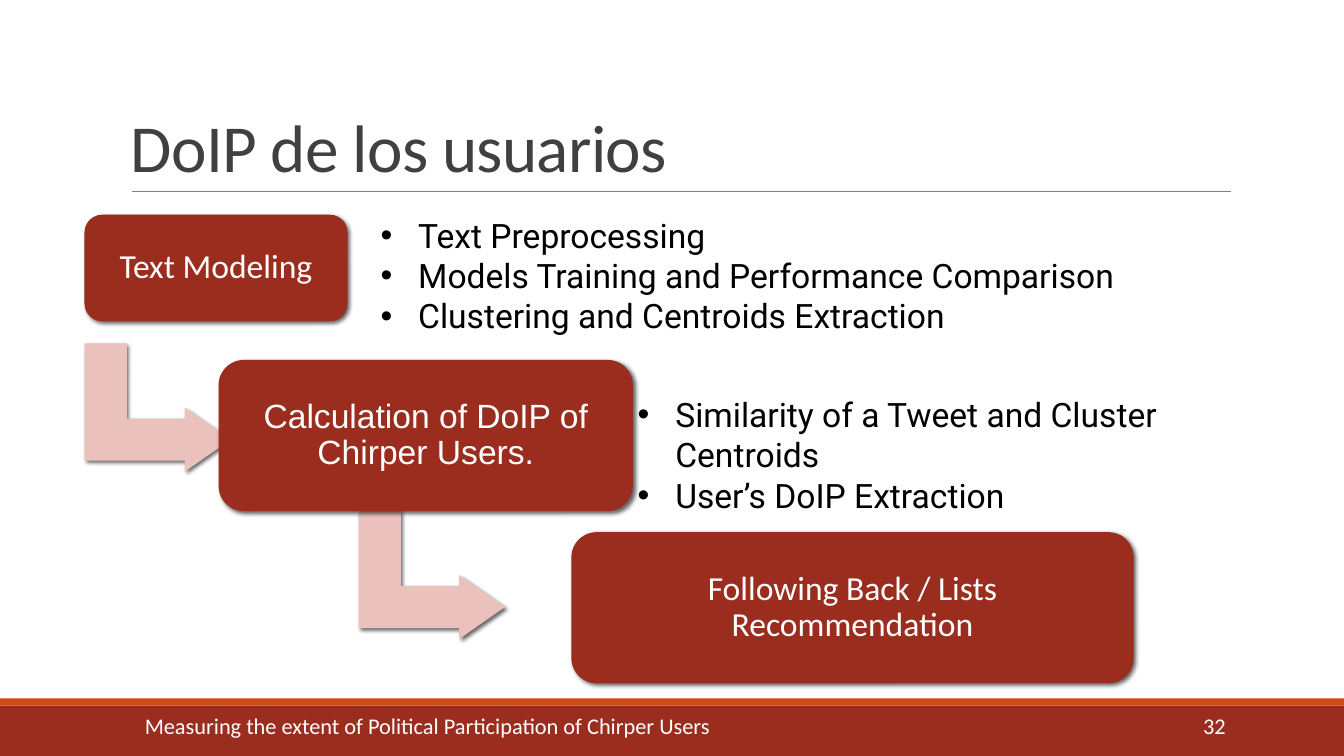
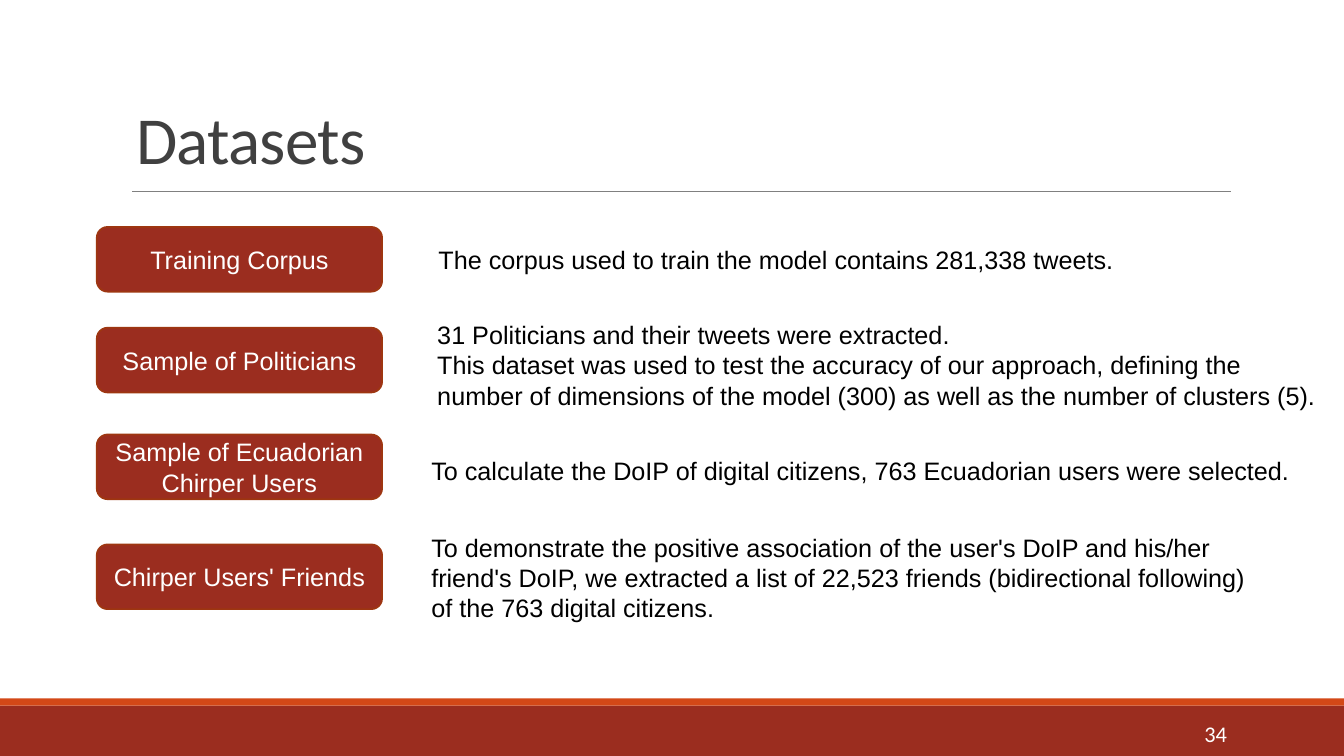
from lxml import etree
from pptx import Presentation
from pptx.dml.color import RGBColor
from pptx.enum.shapes import MSO_CONNECTOR, MSO_SHAPE
from pptx.enum.text import MSO_ANCHOR, PP_ALIGN
from pptx.oxml.ns import qn
from pptx.util import Cm, Pt

RECT, CARD, ARROW = MSO_SHAPE.RECTANGLE, MSO_SHAPE.ROUNDED_RECTANGLE, MSO_SHAPE.BENT_UP_ARROW
LINE = MSO_CONNECTOR.STRAIGHT
LEFT, CENTER, RIGHT = PP_ALIGN.LEFT, PP_ALIGN.CENTER, PP_ALIGN.RIGHT
TOP, MIDDLE, BOTTOM = MSO_ANCHOR.TOP, MSO_ANCHOR.MIDDLE, MSO_ANCHOR.BOTTOM

COLORS = {
    "brick": "9B2D1F", "orange": "D34817", "edge": "9E3611", "pink": "EAC1BD",
    "rule": "808080", "title": "404040", "white": "FFFFFF", "black": "000000",
}


def add_shape(s, kind, box, fill, shadow=False):
    """Add a filled shape without outline; box is left, top, width, height in cm."""
    sp = s.shapes.add_shape(kind, *map(Cm, box))
    sp.fill.solid()
    sp.fill.fore_color.rgb = RGBColor.from_string(COLORS[fill])
    sp.line.fill.background()
    sp.shadow.inherit = False
    if shadow:
        effects = sp._element.spPr.find(qn("a:effectLst"))
        outer = etree.SubElement(effects, qn("a:outerShdw"), blurRad=str(Pt(3)),
                                 dist=str(Pt(2)), dir="2700000", rotWithShape="0")
        black = etree.SubElement(outer, qn("a:srgbClr"), val=COLORS["black"])
        etree.SubElement(black, qn("a:alpha"), val="60000")
    return sp


def write(sp, lines, size, font="Calibri", color="white", align=LEFT, anchor=MIDDLE,
          spacing=1.0, tracking=None, bullets=False):
    tf = sp.text_frame
    tf.word_wrap = True
    tf.vertical_anchor = anchor
    tf.margin_left = tf.margin_right = Cm(0.25)
    tf.margin_top = tf.margin_bottom = Cm(0.13)
    for i, line in enumerate(lines):
        p = tf.add_paragraph() if i else tf.paragraphs[0]
        p.alignment = align
        p.line_spacing = spacing
        if bullets:
            pPr = p._p.get_or_add_pPr()
            pPr.set("marL", str(Cm(2.24)))
            pPr.set("indent", str(Cm(-0.95)))
            etree.SubElement(pPr, qn("a:buFont"), typeface="Arial")
            etree.SubElement(pPr, qn("a:buChar"), char="•")
        r = p.add_run()
        r.text = line
        r.font.size = Pt(size)
        r.font.name = font
        r.font.color.rgb = RGBColor.from_string(COLORS[color])
        if tracking:
            r._r.get_or_add_rPr().set("spc", str(tracking))


prs = Presentation()
prs.slide_width, prs.slide_height = Cm(33.87), Cm(19.05)

# Shared frame: bands, rule, title and page number
frames = [
    ("DoIP de los usuarios", (3.05, 0.79, 27.94, 4.04), "32", (28.6, 17.6, 2.54, 1.35)),
    ("Datasets", (3.18, 1.35, 27.2, 3.28), "34", (28.63, 18.03, 2.54, 0.91)),
]
for title, title_box, number, number_box in frames:
    s = prs.slides.add_slide(prs.slide_layouts[6])
    add_shape(s, RECT, (0, 17.78, 33.87, 1.27), "brick")
    add_shape(s, RECT, (0, 17.6, 33.87, 0.18), "orange")
    rule = s.shapes.add_connector(LINE, Cm(3.33), Cm(4.82), Cm(31.01), Cm(4.82))
    rule.line.color.rgb = RGBColor.from_string(COLORS["rule"])
    rule.line.width = Pt(0.5)
    etree.SubElement(rule._element.spPr, qn("a:effectLst"))
    write(s.shapes.add_textbox(*map(Cm, title_box)), [title], 48, color="title",
          anchor=BOTTOM, spacing=0.85, tracking=-50)
    write(s.shapes.add_textbox(*map(Cm, number_box)), [number], 16, align=RIGHT)

process, datasets = prs.slides

# Process: three steps joined by bent arrows
s = process
for left, top in [(2.36, 8.43), (9.27, 12.65)]:
    arrow = add_shape(s, ARROW, (left, top, 3.23, 3.68), "pink", shadow=True)
    arrow.rotation = 90
    for i, value in enumerate((0.328, 0.25, 0.358)):
        arrow.adjustments[i] = value

steps = [
    ("Text Modeling", "Calibri", (2.13, 5.41, 6.63, 2.69)),
    ("Calculation of DoIP of Chirper Users.", "Arial", (5.51, 9.07, 10.44, 3.81)),
    ("Following Back / Lists Recommendation", "Calibri", (14.4, 13.41, 14.17, 3.81)),
]
for text, font, box in steps:
    sp = add_shape(s, CARD, box, "brick", shadow=True)
    write(sp, [text], 24, font, align=CENTER, spacing=0.9)

details = [
    ((8.05, 5.28, 21.08, 3.33), ["Text Preprocessing",
                                 "Models Training and Performance Comparison",
                                 "Clustering and Centroids Extraction"]),
    ((14.53, 9.8, 17.37, 3.33), ["Similarity of a Tweet and Cluster Centroids",
                                 "User’s DoIP Extraction"]),
]
for box, lines in details:
    write(s.shapes.add_textbox(*map(Cm, box)), lines, 24, "Roboto", "black",
          anchor=TOP, bullets=True)

write(s.shapes.add_textbox(Cm(3.4), Cm(17.6), Cm(20), Cm(1.35)),
      ["Measuring the extent of Political Participation of Chirper Users"], 16)

# Datasets: a labelled card and a description per row
s = datasets
rows = [
    ("Training Corpus", 5.72, (10.8, 6.02, 18.5, 1.02),
     ["The corpus used to train the model contains 281,338 tweets."]),
    ("Sample of Politicians", 8.26, (10.77, 7.92, 22.7, 2.57),
     ["31 Politicians and their tweets were extracted.",
      "This dataset was used to test the accuracy of our approach, defining the number of "
      "dimensions of the model (300) as well as the number of clusters (5)."]),
    ("Sample of Ecuadorian Chirper Users", 10.95, (10.62, 11.35, 22.7, 1.02),
     ["To calculate the DoIP of digital citizens, 763 Ecuadorian users were selected."]),
    ("Chirper Users' Friends", 13.72, (10.62, 13.28, 21.3, 2.57),
     ["To demonstrate the positive association of the user's DoIP and his/her friend's DoIP, "
      "we extracted a list of 22,523 friends (bidirectional following) of the 763 digital "
      "citizens."]),
]
for label, top, box, lines in rows:
    sp = add_shape(s, CARD, (2.44, top, 7.19, 1.63), "brick")
    sp.line.color.rgb = RGBColor.from_string(COLORS["edge"])
    sp.line.width = Pt(1.25)
    write(sp, [label], 18, "Arial", align=CENTER)
    write(s.shapes.add_textbox(*map(Cm, box)), lines, 18, "Arial", "black", anchor=TOP)

prs.save("out.pptx")
